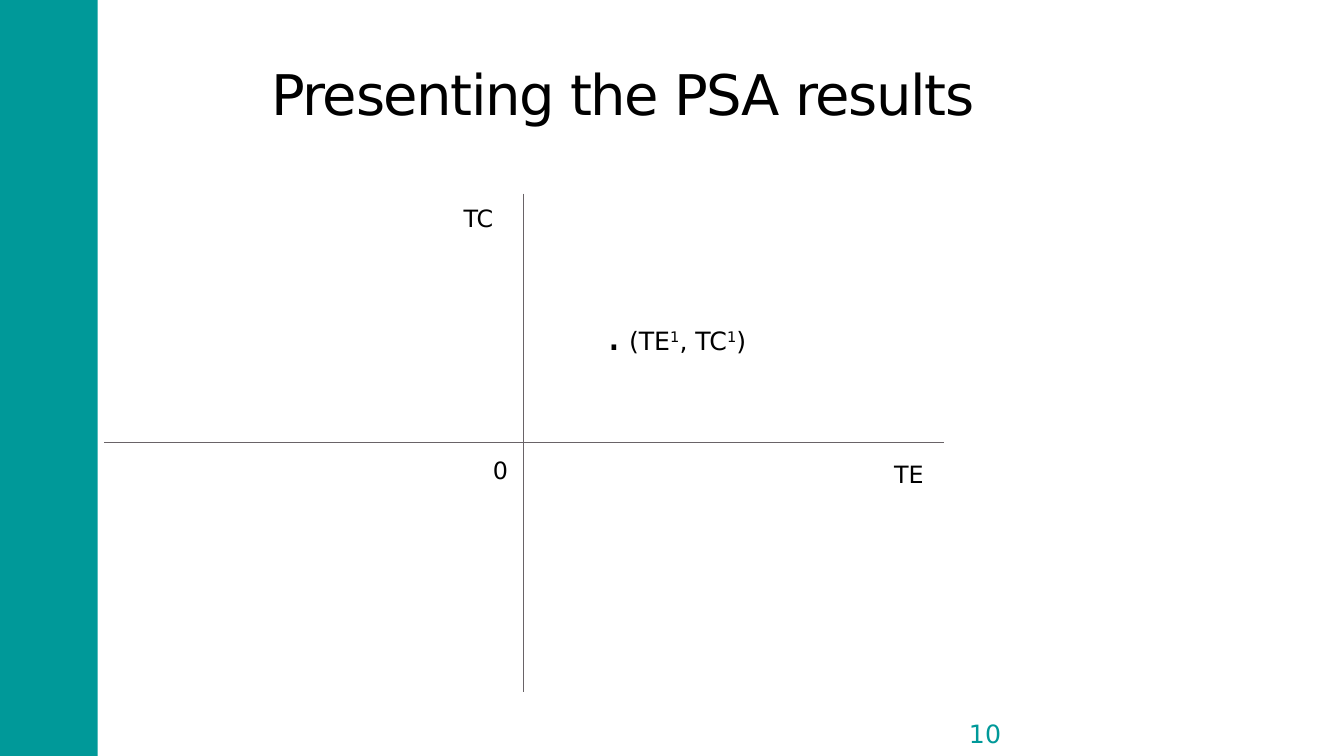
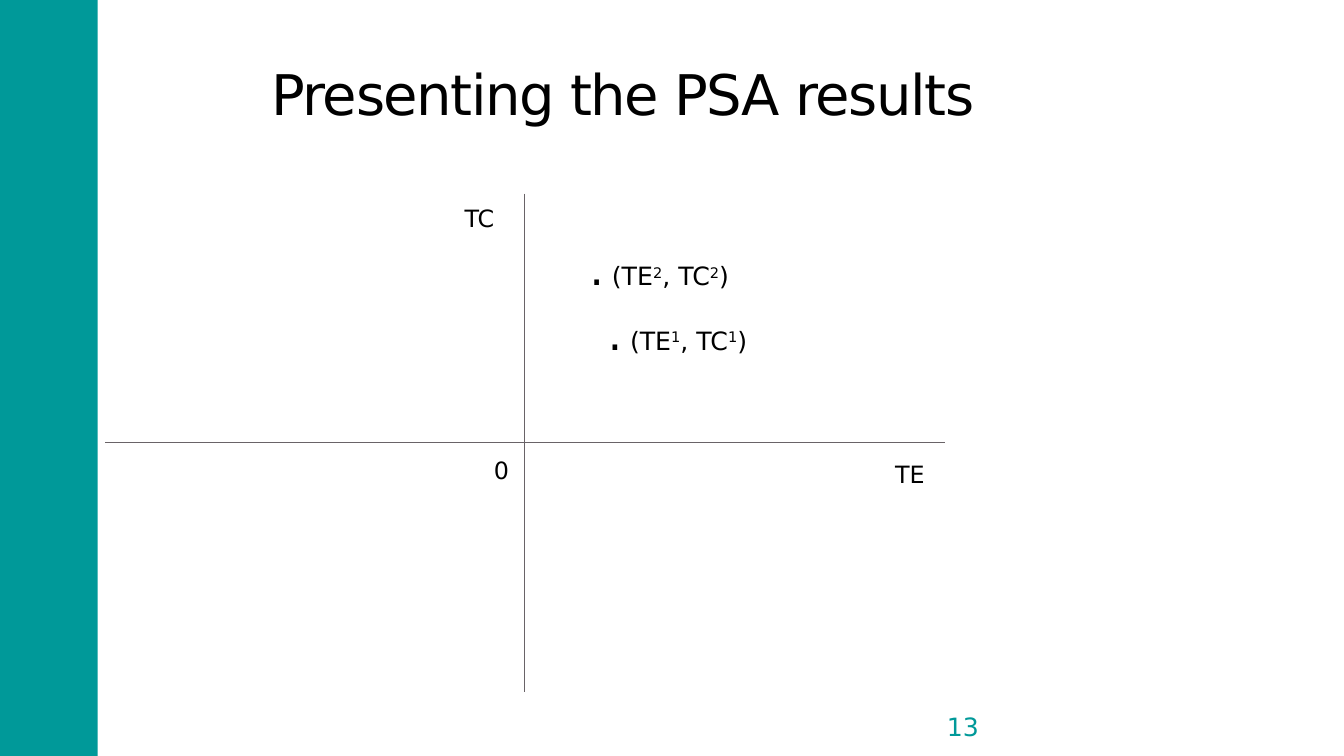
from pptx import Presentation
from pptx.dml.color import RGBColor
from pptx.enum.shapes import MSO_CONNECTOR, MSO_SHAPE
from pptx.enum.text import MSO_ANCHOR, MSO_AUTO_SIZE, PP_ALIGN
from pptx.oxml.ns import qn
from pptx.util import Inches, Pt
from lxml.etree import SubElement

FONT = "DejaVu Sans"
TEAL, BLACK, WHITE, GREY = "009999", "000000", "FFFFFF", "696367"
COLS, ROWS = 133.3, 75


def paint(target, shade):
    target.rgb = RGBColor.from_string(shade)


def cell(*counts):
    return [Inches(count / 10) for count in counts]


class Deck:
    def __init__(self):
        self.prs = Presentation()
        self.prs.slide_width, self.prs.slide_height = cell(COLS, ROWS)
        self.base = self.prs.slide_layouts[5]
        self.slide = None

    def page(self, title, number, spot):
        first = self.slide is None
        self.slide = self.prs.slides.add_slide(self.base)
        if first:
            self.band()
        self.title(title)
        self.number(number, spot)

    def band(self):
        band = self.slide.shapes.add_shape(
            MSO_SHAPE.RECTANGLE, *cell(-0.3, 0, 10, ROWS))
        band.shadow.inherit = False
        band.fill.solid()
        paint(band.fill.fore_color, TEAL)
        band.line.fill.background()
        self.base.shapes.element.insert(2, band.element)

    def style(self, para, size, shade=BLACK):
        para.font.name, para.font.size = FONT, Pt(size)
        paint(para.font.color, shade)

    def frame(self, shape, inset, anchor):
        frame = shape.text_frame
        frame.word_wrap = True
        frame.auto_size = MSO_AUTO_SIZE.NONE
        frame.vertical_anchor = anchor
        frame.margin_left, frame.margin_top = cell(inset, inset)
        frame.margin_right, frame.margin_bottom = cell(inset, inset)
        return frame.paragraphs[0]

    def title(self, words):
        shape = self.slide.shapes.title
        shape.left, shape.top, shape.width, shape.height = cell(
            25.9, 3, 83.3, 12.5)
        para = self.frame(shape, 1, MSO_ANCHOR.MIDDLE)
        para.alignment = PP_ALIGN.LEFT
        self.style(para, 40)
        run = para.add_run()
        run.text = words
        run._r.get_or_add_rPr().set("spc", "-100")

    def number(self, number, spot):
        shape = self.slide.shapes.add_shape(
            MSO_SHAPE.DOUBLE_BRACKET, *cell(*spot, 6, 4.3))
        shape.shadow.inherit = False
        shape.fill.background()
        paint(shape.line.color, WHITE)
        shape.line.width = Pt(1.5)
        para = self.frame(shape, 0, MSO_ANCHOR.MIDDLE)
        para.text = str(number)
        para.alignment = PP_ALIGN.CENTER
        self.style(para, 18, TEAL)

    def line(self, *ends):
        line = self.slide.shapes.add_connector(
            MSO_CONNECTOR.STRAIGHT, *cell(*ends))
        paint(line.line.color, GREY)
        line.line.width = Pt(0.75)
        SubElement(line.element.spPr, qn("a:effectLst"))

    def box(self, left, top, width, height, size):
        shape = self.slide.shapes.add_textbox(*cell(left, top, width, height))
        para = self.frame(shape, 1, MSO_ANCHOR.TOP)
        self.style(para, size)
        return para

    def label(self, words, left, top, width=6):
        self.box(left, top, width, 4.3, 17).text = words

    def axes(self, shift):
        self.line(51.9 + shift, 19.2, 51.9 + shift, 68.7)
        self.line(93.6 + shift, 43.9, 10.3 + shift, 43.9)
        self.label("TE", 87.7 + shift, 44.6)
        self.label("TC", 45 + shift, 19.2)
        self.label("0", 47.9 + shift, 44.2, 3.9)

    def point(self, index, left, top):
        para = self.box(left, top, 22, 7.4, 18)
        for words in (".", " (TE", index, ", TC", index, ")"):
            run = para.add_run()
            run.text = words
            if words == ".":
                run.font.size = Pt(32)
            elif words == index:
                run._r.get_or_add_rPr().set("baseline", "30000")


def main():
    deck = Deck()
    pages = (
        (10, (94.7, 70.6), 0, (("1", 59.2, 29.3),)),
        (13, (92.5, 69.9), 0.1, (("1", 59.3, 29.3), ("2", 57.5, 22.9))),
    )
    for number, spot, shift, points in pages:
        deck.page("Presenting the PSA results", number, spot)
        deck.axes(shift)
        for point in points:
            deck.point(*point)
    deck.prs.save("out.pptx")


if __name__ == "__main__":
    main()
